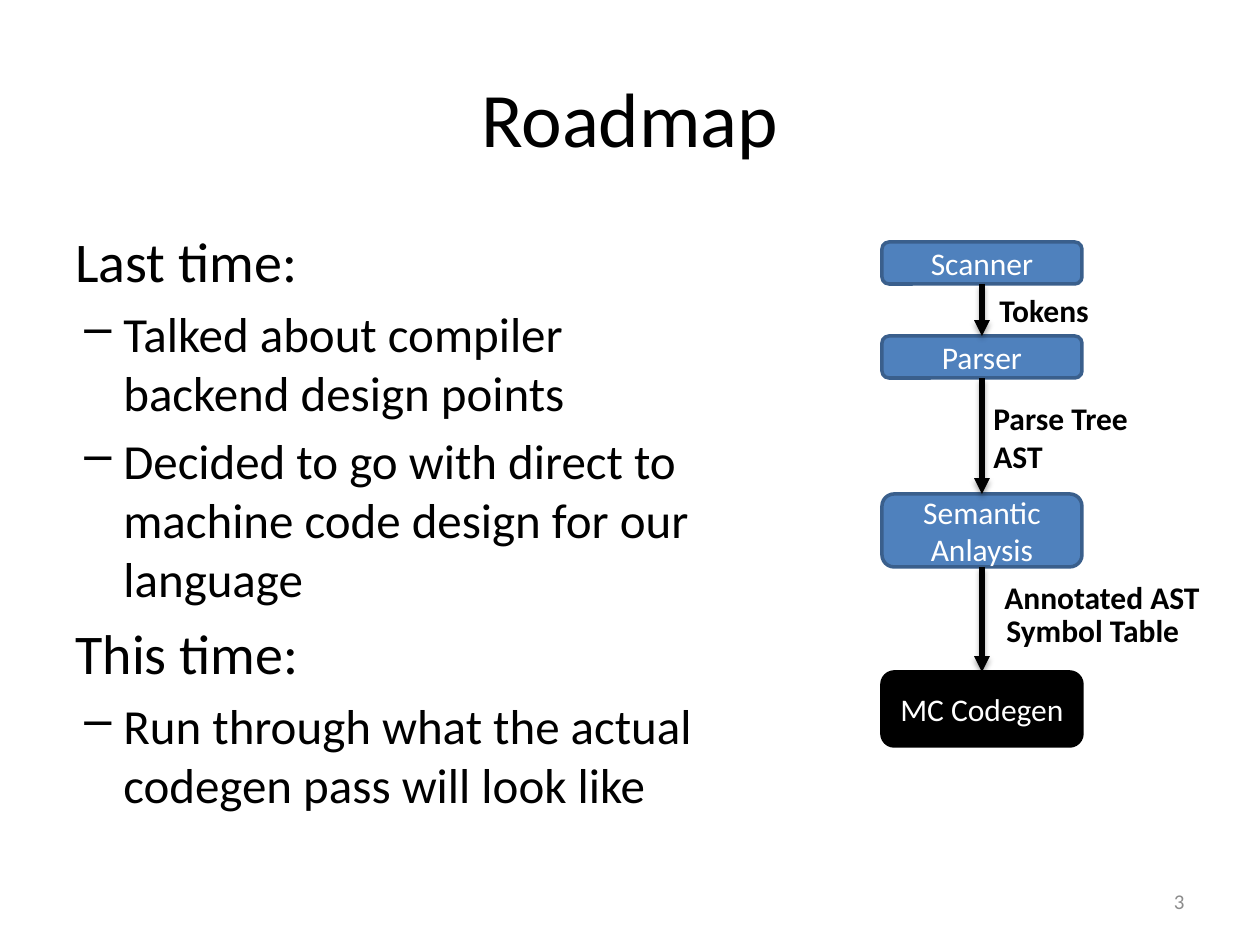
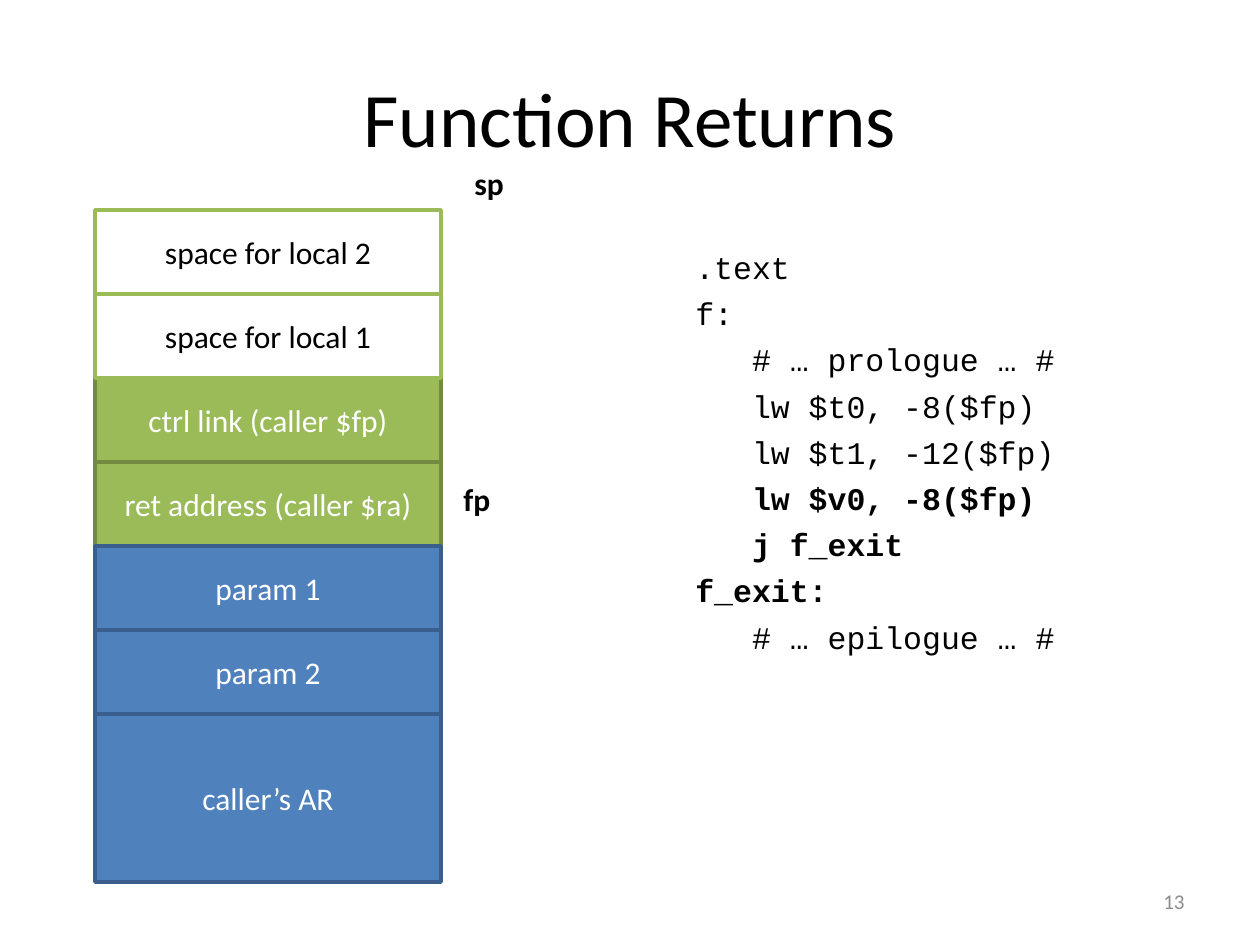
from lxml.etree import SubElement
from pptx import Presentation
from pptx.dml.color import RGBColor
from pptx.enum.shapes import MSO_CONNECTOR, MSO_SHAPE
from pptx.enum.text import MSO_ANCHOR, PP_ALIGN
from pptx.oxml.ns import qn
from pptx.util import Emu, Pt

BLACK, WHITE, GREY = "000000", "FFFFFF", "8C8C8C"
BLUE, DARK_BLUE = "4F81BD", "3A5F8C"
GREEN, DARK_GREEN = "9BBB59", "738A42"

BLUE_BOX = (BLUE, DARK_BLUE, WHITE)
GREEN_BOX = (GREEN, DARK_GREEN, WHITE)
WHITE_BOX = (WHITE, GREEN, BLACK)
BLACK_BOX = (BLACK, BLACK, WHITE)


def px(length):
    return Emu(round(length * 914400 / 126))


def color(hex_value):
    return RGBColor.from_string(hex_value)


def set_format(target, values):
    for attribute, value in values.items():
        setattr(target, attribute, value)


class Deck:
    base = {"name": "Calibri", "size": Pt(18), "bold": False}

    def __init__(self):
        self.presentation = Presentation()
        set_format(self.presentation, {"slide_width": px(1260), "slide_height": px(945)})
        self.slide = None

    def new_slide(self, title, number):
        layout = self.presentation.slide_layouts[6]
        self.slide = self.presentation.slides.add_slide(layout)
        self.text((63, 38, 1134, 158), [title], {"size": Pt(44)},
                  align=PP_ALIGN.CENTER, anchor=MSO_ANCHOR.MIDDLE)
        self.text((903, 876, 294, 50), [number], {"size": Pt(12)}, tint=GREY,
                  align=PP_ALIGN.RIGHT, anchor=MSO_ANCHOR.MIDDLE)

    def add_words(self, paragraph, text, font, tint=BLACK):
        run = paragraph.add_run()
        run.text = text
        set_format(run.font, self.base | font)
        run.font.color.rgb = color(tint)

    def text_frame(self, area, anchor=MSO_ANCHOR.TOP, wrap=True):
        frame = self.slide.shapes.add_textbox(*map(px, area)).text_frame
        set_format(frame, {"word_wrap": wrap, "vertical_anchor": anchor})
        return frame

    def paragraphs(self, frame, count):
        return [frame.paragraphs[0]] + [frame.add_paragraph() for _ in range(count - 1)]

    def text(self, area, lines, font, tint=BLACK, align=PP_ALIGN.LEFT,
             anchor=MSO_ANCHOR.TOP, wrap=True):
        frame = self.text_frame(area, anchor, wrap)
        for paragraph, line in zip(self.paragraphs(frame, len(lines)), lines):
            paragraph.alignment = align
            self.add_words(paragraph, line, font, tint)

    def label(self, area, *lines):
        self.text(area, lines, {"bold": True}, wrap=False)

    def outline(self, area, entries):
        frame = self.text_frame(area)
        for i, (paragraph, (level, line)) in enumerate(
                zip(self.paragraphs(frame, len(entries)), entries)):
            size = 28 if level else 32
            if level:
                self.indent(paragraph, 48, -39)
                SubElement(paragraph._p.get_or_add_pPr(), qn("a:buChar"), char="–")
            if i:
                paragraph.space_before = Pt(size * 0.2)
            self.add_words(paragraph, line, {"size": Pt(size)})

    def code(self, area, lines, bold_lines):
        frame = self.text_frame(area)
        for i, (paragraph, line) in enumerate(
                zip(self.paragraphs(frame, len(lines)), lines)):
            self.indent(paragraph, 63, 0)
            if i:
                paragraph.space_before = Pt(4.8)
            self.add_words(paragraph, line, {"name": "Courier New", "bold": i in bold_lines})

    def indent(self, paragraph, margin, first_line):
        properties = paragraph._p.get_or_add_pPr()
        properties.set("marL", str(px(margin)))
        properties.set("indent", str(px(first_line)))

    def box(self, area, text, style, preset=MSO_SHAPE.RECTANGLE):
        fill, border, tint = style
        shape = self.slide.shapes.add_shape(preset, *map(px, area))
        shape.shadow.inherit = False
        shape.fill.solid()
        shape.fill.fore_color.rgb = color(fill)
        shape.line.color.rgb = color(border)
        shape.line.width = Pt(2)
        set_format(shape.text_frame, {"word_wrap": True, "vertical_anchor": MSO_ANCHOR.MIDDLE})
        paragraph = shape.text_frame.paragraphs[0]
        paragraph.alignment = PP_ALIGN.CENTER
        self.add_words(paragraph, text, {}, tint)
        return shape

    def arrow(self, upper, lower):
        middle = upper.left + upper.width // 2
        link = self.slide.shapes.add_connector(
            MSO_CONNECTOR.STRAIGHT, middle, upper.top + upper.height, middle, lower.top)
        link.begin_connect(upper, 2)
        link.end_connect(lower, 0)
        link.line.color.rgb = color(BLACK)
        link.line.width = Pt(3)
        SubElement(link.line._get_or_add_ln(), qn("a:tailEnd"), type="triangle")
        effects = SubElement(link._element.spPr, qn("a:effectLst"))
        shadow = SubElement(effects, qn("a:outerShdw"), blurRad=str(Pt(3.1)),
                            dist=str(Pt(1.8)), dir="5400000", rotWithShape="0")
        shade = SubElement(shadow, qn("a:srgbClr"), val=BLACK)
        SubElement(shade, qn("a:alpha"), val="35000")


def roadmap(deck):
    deck.new_slide("Roadmap", "3")
    phases = [
        (242, 42, "Scanner", BLUE_BOX),
        (336, 42, "Parser", BLUE_BOX),
        (494, 73, "Semantic Anlaysis", BLUE_BOX),
        (672, 74, "MC Codegen", BLACK_BOX),
    ]
    pipeline = [deck.box((882, top, 200, height), phase, style, MSO_SHAPE.ROUNDED_RECTANGLE)
                for top, height, phase, style in phases]
    for upper, lower in zip(pipeline, pipeline[1:]):
        deck.arrow(upper, lower)
    deck.label((987, 285, 115, 50), "Tokens")
    deck.label((981, 393, 161, 89), "Parse Tree", "AST")
    deck.label((992, 572, 229, 50), "Annotated AST")
    deck.label((994, 605, 199, 50), "Symbol Table")
    deck.outline((63, 220, 683, 624), [
        (0, "Last time:"),
        (1, "Talked about compiler backend design points"),
        (1, "Decided to go with direct to machine code design for our language"),
        (0, "This time:"),
        (1, "Run through what the actual codegen pass will look like"),
    ])


def function_returns(deck):
    deck.new_slide("Function Returns", "13")
    deck.code((620, 242, 630, 620), [
        ".text",
        "f:",
        "   # … prologue … #",
        "   lw $t0, -8($fp)",
        "   lw $t1, -12($fp)",
        "   lw $v0, -8($fp)",
        "   j f_exit",
        "f_exit:",
        "   # … epilogue … #",
    ], bold_lines=range(5, 8))
    row_height = 84
    stack = [
        (6, 2, "caller’s AR", BLUE_BOX),
        (3, 1, "ret address (caller $ra)", GREEN_BOX),
        (2, 1, "ctrl link (caller $fp)", GREEN_BOX),
        (1, 1, "space for local 1", WHITE_BOX),
        (0, 1, "space for local 2", WHITE_BOX),
        (5, 1, "param 2", BLUE_BOX),
        (4, 1, "param 1", BLUE_BOX),
    ]
    for row, rows, content, style in stack:
        deck.box((95, 210 + row * row_height, 346, rows * row_height), content, style)
    deck.label((462, 158, 63, 50), "sp")
    deck.label((451, 474, 63, 50), "fp")


def main():
    deck = Deck()
    roadmap(deck)
    function_returns(deck)
    deck.presentation.save("out.pptx")


if __name__ == "__main__":
    main()
